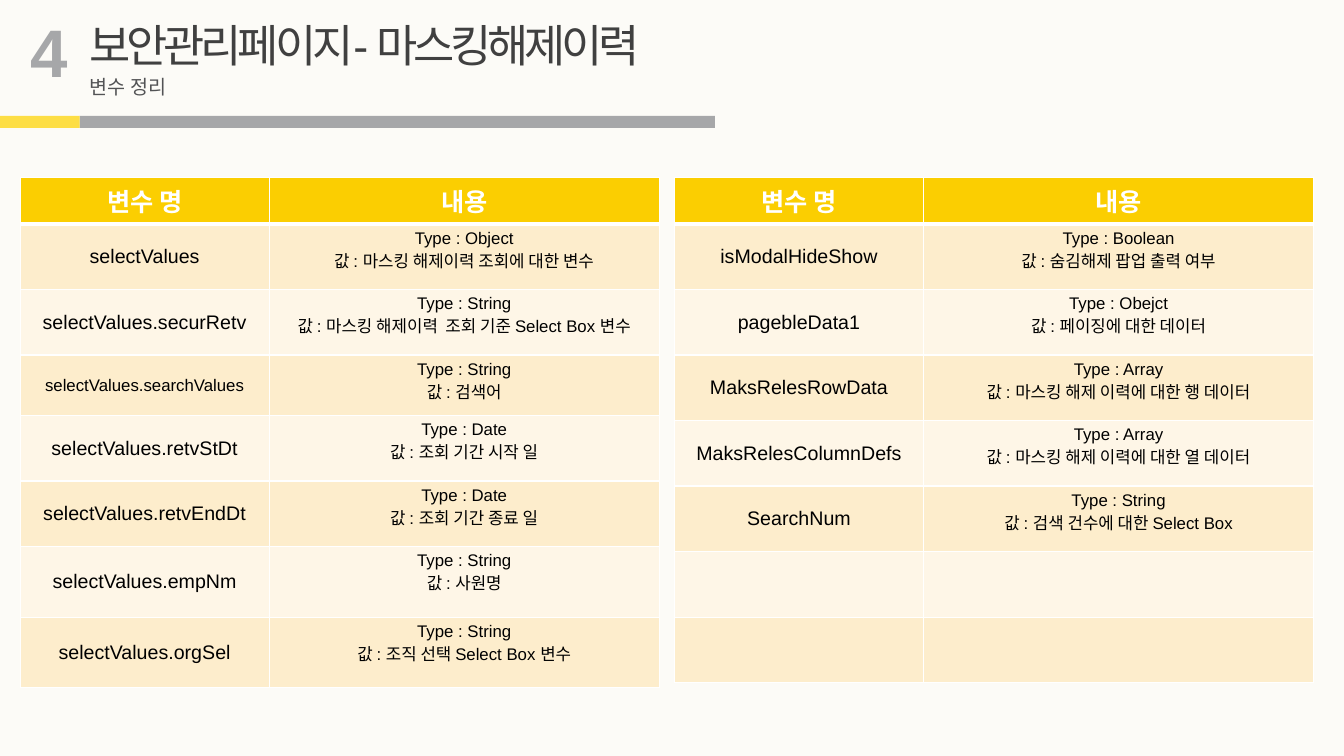
"""Build the variable summary slide for the unmasking history page."""
from lxml import etree
from pptx import Presentation
from pptx.dml.color import RGBColor
from pptx.enum import shapes, text
from pptx.oxml import ns
from pptx.util import Inches, Pt

TITLE = "보안관리페이지- 마스킹해제이력"
SUBTITLE = "변수 정리"
NUMBER = "4"
HEADER = ("변수 명", "내용")
LEFT_ROWS = [
    ("selectValues", "Object", "마스킹 해제이력 조회에 대한 변수"),
    ("selectValues.securRetv", "String", "마스킹 해제이력  조회 기준 Select Box 변수"),
    ("selectValues.searchValues", "String", "검색어"),
    ("selectValues.retvStDt", "Date", "조회 기간 시작 일"),
    ("selectValues.retvEndDt", "Date", "조회 기간 종료 일"),
    ("selectValues.empNm", "String", "사원명"),
    ("selectValues.orgSel", "String", "조직 선택 Select Box 변수"),
]
RIGHT_ROWS = [
    ("isModalHideShow", "Boolean", "숨김해제 팝업 출력 여부"),
    ("pagebleData1", "Obejct", "페이징에 대한 데이터"),
    ("MaksRelesRowData", "Array", "마스킹 해제 이력에 대한 행 데이터"),
    ("MaksRelesColumnDefs", "Array", "마스킹 해제 이력에 대한 열 데이터"),
    ("SearchNum", "String", "검색 건수에 대한 Select Box"),
    None,
    None,
]
TABLES = [
    (0.2, LEFT_ROWS, (0.65, 0.65, 0.6, 0.65, 0.65, 0.7, 0.7)),
    (6.69, RIGHT_ROWS, (0.65,) * 7),
]
COLUMNS = (2.47, 3.87)
TABLE_TOP, HEADER_HEIGHT = 1.76, 0.38
LONG_NAME = 24

FONT = "Arial"
BACKGROUND = RGBColor(0xFC, 0xFB, 0xF7)
GRAY = RGBColor(0xA6, 0xA7, 0xA9)
YELLOW = RGBColor(0xFD, 0xDE, 0x45)
TITLE_COLOR = RGBColor(0x40, 0x40, 0x40)
SUBTITLE_COLOR = RGBColor(0x52, 0x53, 0x55)
HEADER_FILL = RGBColor(0xFB, 0xCE, 0x01)
BANDS = (RGBColor(0xFD, 0xED, 0xCC), RGBColor(0xFE, 0xF6, 0xE7))
WHITE = RGBColor(0xFF, 0xFF, 0xFF)
BLACK = RGBColor(0, 0, 0)


def format_runs(tf, size, color, bold=False, align=text.PP_ALIGN.LEFT):
    for p in tf.paragraphs:
        p.alignment = align
        for r in p.runs:
            r.font.name = FONT
            r.font.size = Pt(size)
            r.font.bold = bold
            r.font.color.rgb = color


def place_text(sp, box, content, size, color, bold=False):
    sp.left, sp.top, sp.width, sp.height = map(Inches, box)
    tf = sp.text_frame
    tf.text = content
    tf.word_wrap = False
    tf.auto_size = text.MSO_AUTO_SIZE.NONE
    tf.vertical_anchor = text.MSO_ANCHOR.TOP
    format_runs(tf, size, color, bold)
    return tf


def add_bar(s, left, width, color):
    sp = s.shapes.add_shape(shapes.MSO_SHAPE.RECTANGLE, Inches(left),
                            Inches(1.15), Inches(width), Inches(0.12))
    sp.shadow.inherit = False
    sp.fill.solid()
    sp.fill.fore_color.rgb = color
    sp.line.fill.background()


def set_borders(cell, bottom):
    props = cell._tc.get_or_add_tcPr()
    for i, side in enumerate(("lnL", "lnR", "lnT", "lnB")):
        width = bottom if side == "lnB" else 1
        ln = etree.Element(ns.qn("a:" + side), w=str(Pt(width)))
        fill = etree.SubElement(ln, ns.qn("a:solidFill"))
        etree.SubElement(fill, ns.qn("a:srgbClr"), val=str(WHITE))
        props.insert(i, ln)


def fill_cell(cell, content, fill, size, color, bold=False, bottom=1):
    cell.fill.solid()
    cell.fill.fore_color.rgb = fill
    set_borders(cell, bottom)
    if content:
        cell.text_frame.text = content
        format_runs(cell.text_frame, size, color, bold, text.PP_ALIGN.CENTER)


def add_variables(s, left, rows, heights):
    all_heights = (HEADER_HEIGHT, *heights)
    table = s.shapes.add_table(
        len(all_heights), len(COLUMNS), Inches(left), Inches(TABLE_TOP),
        Inches(sum(COLUMNS)), Inches(sum(all_heights))).table
    for column, width in zip(table.columns, COLUMNS):
        column.width = Inches(width)
    for row, height in zip(table.rows, all_heights):
        row.height = Inches(height)
    for c, label in enumerate(HEADER):
        fill_cell(table.cell(0, c), label, HEADER_FILL, 18, WHITE, True, 3)
    for i, variable in enumerate(rows):
        name, kind, meaning = variable or ("", "", "")
        detail = f"Type : {kind}\n값 : {meaning}" if variable else ""
        band = BANDS[i % 2]
        name_cell, detail_cell = table.cell(i + 1, 0), table.cell(i + 1, 1)
        name_cell.vertical_anchor = text.MSO_ANCHOR.MIDDLE
        name_size = 12 if len(name) > LONG_NAME else 14
        fill_cell(name_cell, name, band, name_size, BLACK)
        fill_cell(detail_cell, detail, band, 12, BLACK)


def main():
    prs = Presentation()
    prs.slide_width, prs.slide_height = Inches(13.33), Inches(7.5)
    s = prs.slides.add_slide(prs.slide_layouts[5])
    s.background.fill.solid()
    s.background.fill.fore_color.rgb = BACKGROUND
    add_bar(s, 0.79, 6.3, GRAY)
    add_bar(s, 0, 0.79, YELLOW)
    tf = place_text(s.shapes.title, (0.79, 0.13, 6.24, 0.64), TITLE, 32, TITLE_COLOR)
    for r in tf.paragraphs[0].runs:
        r.font._element.set("spc", "-300")
    for box, content, size, color, bold in (
            ((0.2, 0.05, 0.59, 0.91), NUMBER, 48, GRAY, True),
            ((0.79, 0.69, 1.06, 0.34), SUBTITLE, 14, SUBTITLE_COLOR, False)):
        sp = s.shapes.add_textbox(0, 0, 0, 0)
        place_text(sp, box, content, size, color, bold)
    for left, rows, heights in TABLES:
        add_variables(s, left, rows, heights)
    prs.save("out.pptx")


if __name__ == "__main__":
    main()
